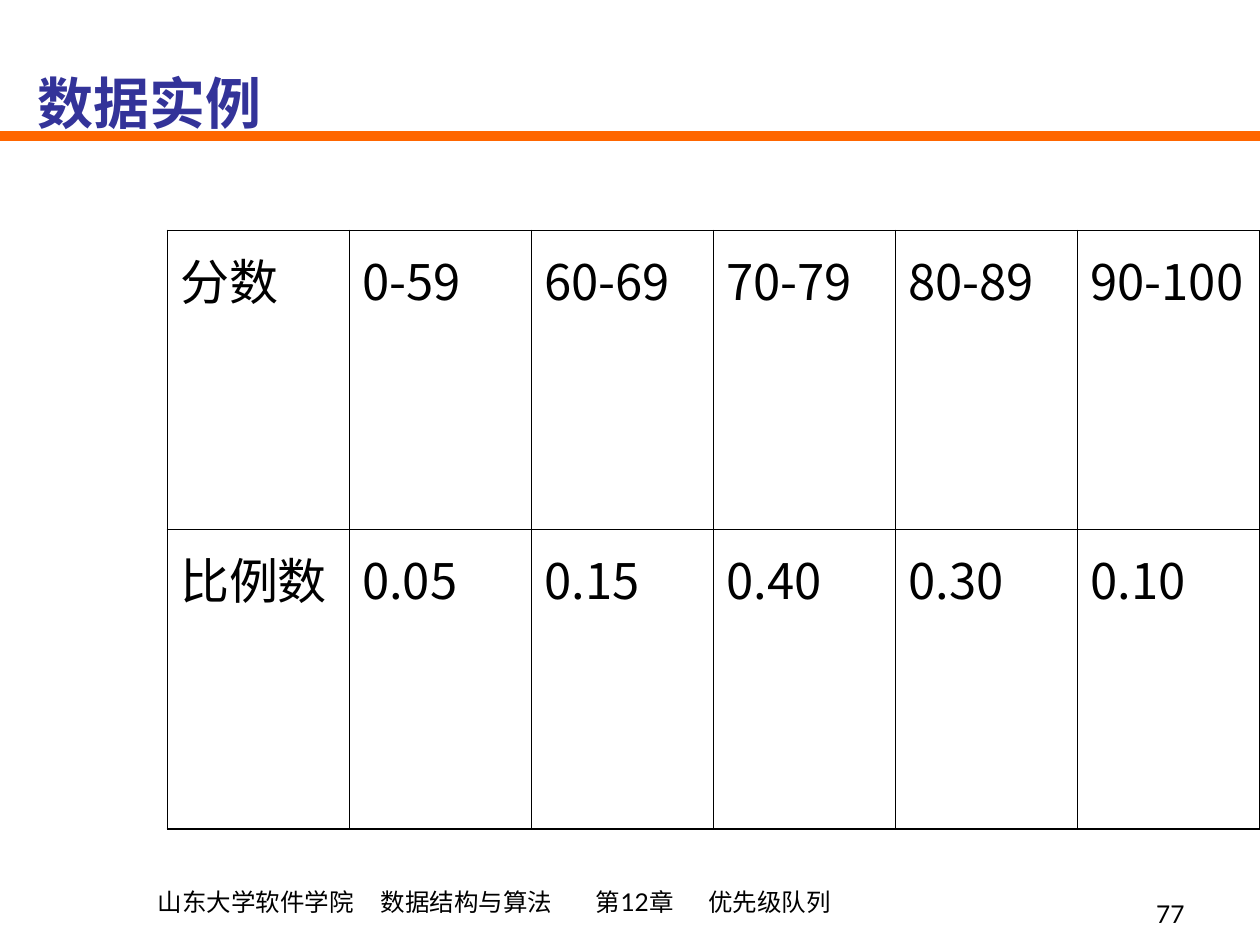
from dataclasses import dataclass

from lxml.etree import SubElement
from pptx import Presentation
from pptx.dml.color import RGBColor
from pptx.enum.shapes import MSO_CONNECTOR
from pptx.enum.text import MSO_ANCHOR, PP_ALIGN
from pptx.oxml.ns import qn
from pptx.util import Inches, Pt


@dataclass(frozen=True)
class Theme:
    ink: str = "000000"
    title: str = "333399"
    rule: str = "FF6600"
    face: str = "Lato"
    han: str = "Noto Sans CJK SC"
    head: int = 32
    body: int = 28
    foot: int = 14
    thin: float = 0.45
    thick: float = 1.08


class Deck:
    def __init__(self, theme):
        self.theme = theme
        self.file = Presentation()
        self.file.slide_width, self.file.slide_height = Inches(10), Inches(7.5)
        self.slide = self.file.slides.add_slide(self.file.slide_layouts[6])

    def style(self, para, size, face, color, bold=False):
        font = para.font
        font.name, font.size, font.bold = face, Pt(size), bold
        font.color.rgb = RGBColor.from_string(color)
        SubElement(font._element, qn("a:ea"), typeface=self.theme.han)

    def rule(self, top, width):
        line = self.slide.shapes.add_connector(
            MSO_CONNECTOR.STRAIGHT, 0, Inches(top), Inches(10), Inches(top))
        line.line.color.rgb = RGBColor.from_string(self.theme.rule)
        line.line.width = Pt(width)
        SubElement(line._element.spPr, qn("a:effectLst"))

    def text(self, words, area, size, color, bold=False,
             align=PP_ALIGN.LEFT, inset=0.1, tabs=()):
        box = self.slide.shapes.add_textbox(*map(Inches, area))
        frame = box.text_frame
        frame.word_wrap = True
        frame.vertical_anchor = MSO_ANCHOR.BOTTOM
        frame.margin_left = Inches(inset)
        para = frame.paragraphs[0]
        para.text = words
        para.alignment = align
        if tabs:
            stops = SubElement(para._p.get_or_add_pPr(), qn("a:tabLst"))
            for stop in tabs:
                SubElement(stops, qn("a:tab"), pos=str(Inches(stop)), algn="l")
        self.style(para, size, self.theme.face, color, bold)

    def border(self, cell, sides):
        """Draw the cell's edges; sides maps L, R, T, B to widths in points."""
        props = cell._tc.get_or_add_tcPr()
        for at, (side, width) in enumerate(sides.items()):
            edge = SubElement(props, qn(f"a:ln{side}"), w=str(Pt(width)))
            props.insert(at, edge)
            fill = SubElement(edge, qn("a:solidFill"))
            SubElement(fill, qn("a:srgbClr"), val=self.theme.ink)

    def table(self, data, area):
        rows, cols = len(data), len(data[0])
        grid = self.slide.shapes.add_table(rows, cols, *map(Inches, area)).table
        grid.first_row = grid.horz_banding = False
        look = self.theme
        for r, row in enumerate(data):
            for c, words in enumerate(row):
                cell = grid.cell(r, c)
                cell.text = words
                cell.fill.background()
                para = cell.text_frame.paragraphs[0]
                para.line_spacing = 1.1
                self.style(para, look.body, look.han, look.ink)
                outer = {"L": c == 0, "R": c == cols - 1,
                         "T": r == 0, "B": r == rows - 1}
                self.border(cell, {side: look.thick if edge else look.thin
                                   for side, edge in outer.items()})


def main():
    theme = Theme()
    deck = Deck(theme)
    deck.rule(1.08, 6)
    deck.text("山东大学软件学院\t数据结构与算法\t第12章\t优先级队列",
              (0.43, 6.82, 6.98, 0.5), theme.foot, theme.ink,
              inset=0.82, tabs=(1.77, 3.48, 4.37))
    deck.text("77", (7.42, 6.92, 2.08, 0.5), theme.foot, theme.ink,
              align=PP_ALIGN.RIGHT)
    deck.text("数据实例", (0.2, 0.13, 8.5, 1), theme.head, theme.title, bold=True)
    deck.table([["分数", "0-59", "60-69", "70-79", "80-89", "90-100"],
                ["比例数", "0.05", "0.15", "0.40", "0.30", "0.10"]],
               (1.33, 1.83, 8.67, 4.75))
    deck.file.save("out.pptx")


if __name__ == "__main__":
    main()
